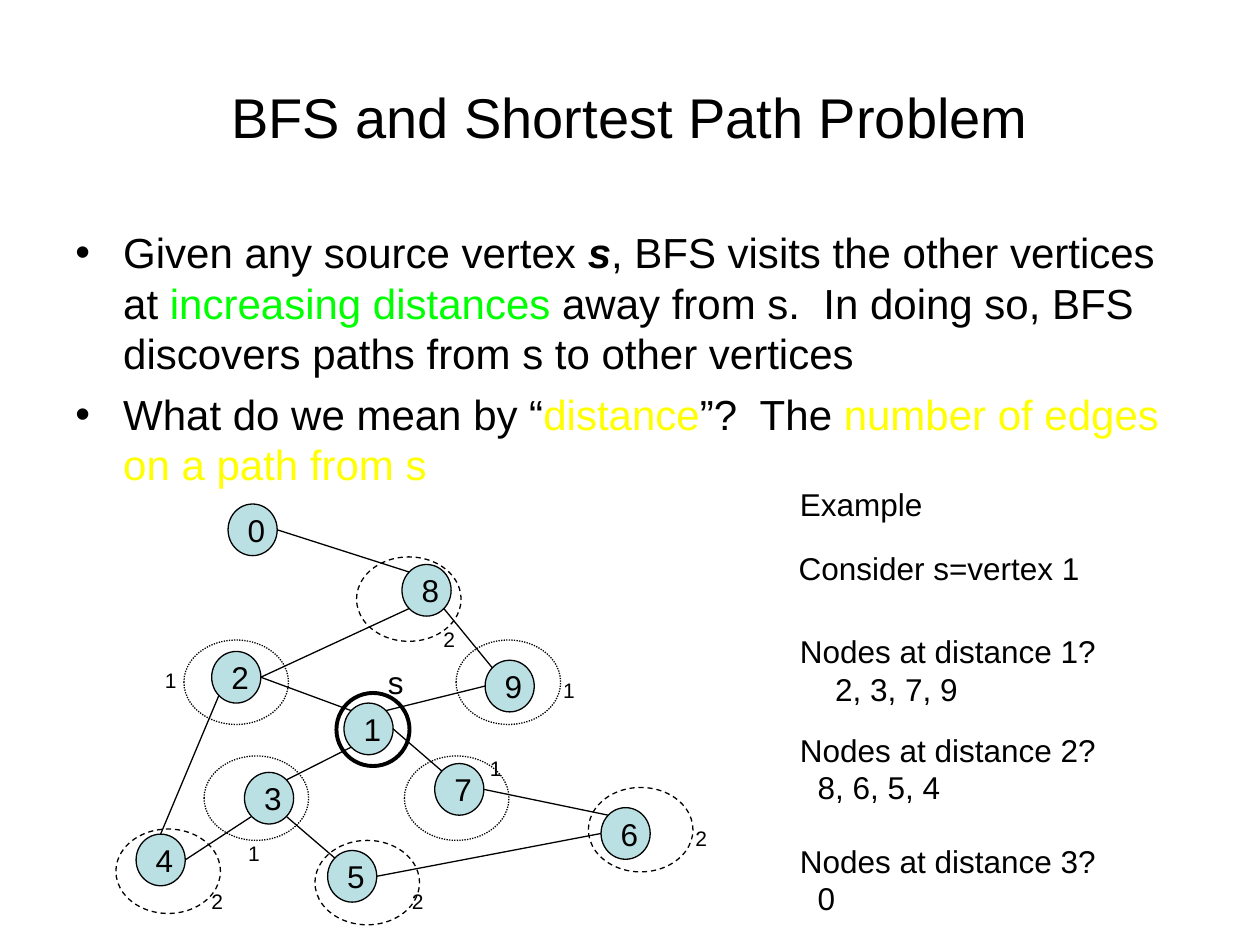
from math import cos, radians, sin

from lxml import etree
from pptx import Presentation
from pptx.dml.color import RGBColor
from pptx.enum.dml import MSO_LINE_DASH_STYLE as DASH
from pptx.enum.shapes import MSO_CONNECTOR, MSO_SHAPE
from pptx.enum.text import MSO_ANCHOR, MSO_AUTO_SIZE, PP_ALIGN
from pptx.oxml.ns import qn
from pptx.util import Inches, Pt

BLACK, NODE_FILL, GREEN, YELLOW = "000000", "BBE0E3", "00FF00", "FFFF00"
NODE_W, NODE_H = 0.39, 0.41
RING_W, RING_H = 0.83, 0.67

# Connection sites of a node, as clockwise angles from its right side
SITES = {"R": 0, "BR": 45, "BL": 135, "L": 180, "TL": 225, "T": 270, "TR": 315}

NODES = {
    "2": (1.68, 5.17), "4": (1.08, 6.62), "3": (1.94, 6.13), "5": (2.6, 6.75),
    "1": (2.73, 5.58), "7": (3.45, 6.06), "6": (4.77, 6.41), "9": (3.85, 5.24),
    "8": (3.19, 4.48), "0": (1.81, 4),
}
EDGES = [
    ("0", "R", "8", "TL"), ("8", "BR", "9", "TL"), ("9", "L", "1", "TR"),
    ("8", "BL", "2", "R"), ("2", "R", "1", "TL"), ("2", "BL", "4", "T"),
    ("4", "R", "3", "BL"), ("3", "TR", "1", "BL"), ("3", "BR", "5", "TL"),
    ("5", "R", "6", "L"), ("1", "R", "7", "TL"), ("7", "R", "6", "TL"),
]
# Distance label, ring dash, ring positions, label positions
LEVELS = [
    ("1", DASH.ROUND_DOT, [(1.46, 5.08), (1.62, 6), (3.21, 6), (3.62, 5.08)],
     [(4.37, 5.33), (3.79, 5.95), (1.21, 5.25), (1.87, 6.62)]),
    ("2", DASH.DASH, [(2.83, 4.42), (0.92, 6.58), (2.5, 6.67), (4.67, 6.25)],
     [(5.42, 6.5), (3.17, 7), (1.58, 7), (3.42, 4.92)]),
]
BULLETS = [
    [("Given any source vertex ", BLACK), ("s", BLACK, True),
     (", BFS visits the other vertices at ", BLACK),
     ("increasing distances", GREEN),
     (" away from s.  In doing so, BFS discovers paths from s to other vertices",
      BLACK)],
    [("What do we mean by “", BLACK), ("distance", YELLOW), ("”?  The ", BLACK),
     ("number of edges on a path from s", YELLOW)],
]
# Question, answer, top, answer indent
QUESTIONS = [
    ("Nodes at distance 1?", "2, 3, 7, 9", 4.97, 0.28),
    ("Nodes at distance 2?", "8, 6, 5, 4", 5.75, 0.14),
    ("Nodes at distance 3?", "0", 6.63, 0.14),
]


def rgb(value):
    return RGBColor.from_string(value)


def site_point(node, site):
    left, top = NODES[node]
    angle = radians(SITES[site])
    return (left + NODE_W / 2 * (1 + cos(angle)),
            top + NODE_H / 2 * (1 + sin(angle)))


class Deck:
    def __init__(self, width, height):
        self.prs = Presentation()
        self.prs.slide_width, self.prs.slide_height = Inches(width), Inches(height)
        self.s = self.prs.slides.add_slide(self.prs.slide_layouts[6])
        self.font = "Arial"

    def style(self, r, size, color=BLACK):
        r.font.name, r.font.size = self.font, Pt(size)
        r.font.color.rgb = rgb(color)

    def text(self, at, lines, size=18, wrap=False):
        tf = self.s.shapes.add_textbox(*map(Inches, at)).text_frame
        tf.text = "\n".join(lines)
        tf.word_wrap = wrap
        tf.auto_size = MSO_AUTO_SIZE.SHAPE_TO_FIT_TEXT
        for p in tf.paragraphs:
            self.style(p.runs[0], size)
        return tf

    def title(self, at, text):
        tf = self.text(at, [text], 32, wrap=True)
        tf.auto_size = MSO_AUTO_SIZE.NONE
        tf.vertical_anchor = MSO_ANCHOR.MIDDLE
        tf.paragraphs[0].alignment = PP_ALIGN.CENTER

    def bullets(self, at, items, size=24):
        tf = self.s.shapes.add_textbox(*map(Inches, at)).text_frame
        tf.word_wrap = True
        for i, item in enumerate(items):
            p = tf.add_paragraph() if i else tf.paragraphs[0]
            p.space_before = Pt(6 if i else 0)
            pPr = p._p.get_or_add_pPr()
            pPr.set("marL", str(Inches(0.38)))
            pPr.set("indent", str(Inches(-0.38)))
            etree.SubElement(pPr, qn("a:buFont")).set("typeface", self.font)
            etree.SubElement(pPr, qn("a:buChar")).set("char", "•")
            for text, color, *strong in item:
                r = p.add_run()
                r.text = text
                self.style(r, size, color)
                if strong:
                    r.font.bold = r.font.italic = True

    def ellipse(self, at, fill=None, weight=0.75, dash=None):
        sp = self.s.shapes.add_shape(MSO_SHAPE.OVAL, *map(Inches, at))
        sp.shadow.inherit = False
        if fill:
            sp.fill.solid()
            sp.fill.fore_color.rgb = rgb(fill)
        else:
            sp.fill.background()
        sp.line.color.rgb, sp.line.width = rgb(BLACK), Pt(weight)
        if dash:
            sp.line.dash_style = dash
        return sp

    def node(self, label, at):
        tf = self.ellipse((*at, NODE_W, NODE_H), NODE_FILL).text_frame
        tf.text = label
        tf.word_wrap = False
        tf.vertical_anchor = MSO_ANCHOR.MIDDLE
        p = tf.paragraphs[0]
        p.alignment = PP_ALIGN.LEFT
        self.style(p.runs[0], 18)

    def edge(self, start, end):
        c = self.s.shapes.add_connector(MSO_CONNECTOR.STRAIGHT,
                                        *map(Inches, (*start, *end)))
        c.line.color.rgb, c.line.width = rgb(BLACK), Pt(0.75)
        etree.SubElement(c._element.spPr, qn("a:effectLst"))

    def question(self, question, answer, top, indent):
        tf = self.text((6.25, top, 2.55, 0.7), [question, answer])
        pPr = tf.paragraphs[1]._p.get_or_add_pPr()
        pPr.set("marL", str(Inches(indent)))


def main():
    deck = Deck(10, 7.5)
    deck.title((0.5, 0.3, 9, 1.25), "BFS and Shortest Path Problem")
    deck.bullets((0.5, 1.75, 9, 4.95), BULLETS)
    for label, at in NODES.items():
        deck.node(label, at)
    for a, a_site, b, b_site in EDGES:
        deck.edge(site_point(a, a_site), site_point(b, b_site))
    for label, dash, rings, labels in LEVELS:
        for at in rings:
            deck.ellipse((*at, RING_W, RING_H), dash=dash)
        for at in labels:
            deck.text((*at, 0.29, 0.3), [label], 12)
    deck.ellipse((2.67, 5.5, 0.58, 0.58), weight=2.25)
    deck.text((2.98, 5.21, 0.32, 0.4), ["s"])
    deck.text((6.25, 3.8, 1.17, 0.4), ["Example"])
    deck.text((6.24, 4.31, 2.43, 0.4), ["Consider s=vertex 1"])
    for row in QUESTIONS:
        deck.question(*row)
    deck.prs.save("out.pptx")


if __name__ == "__main__":
    main()
